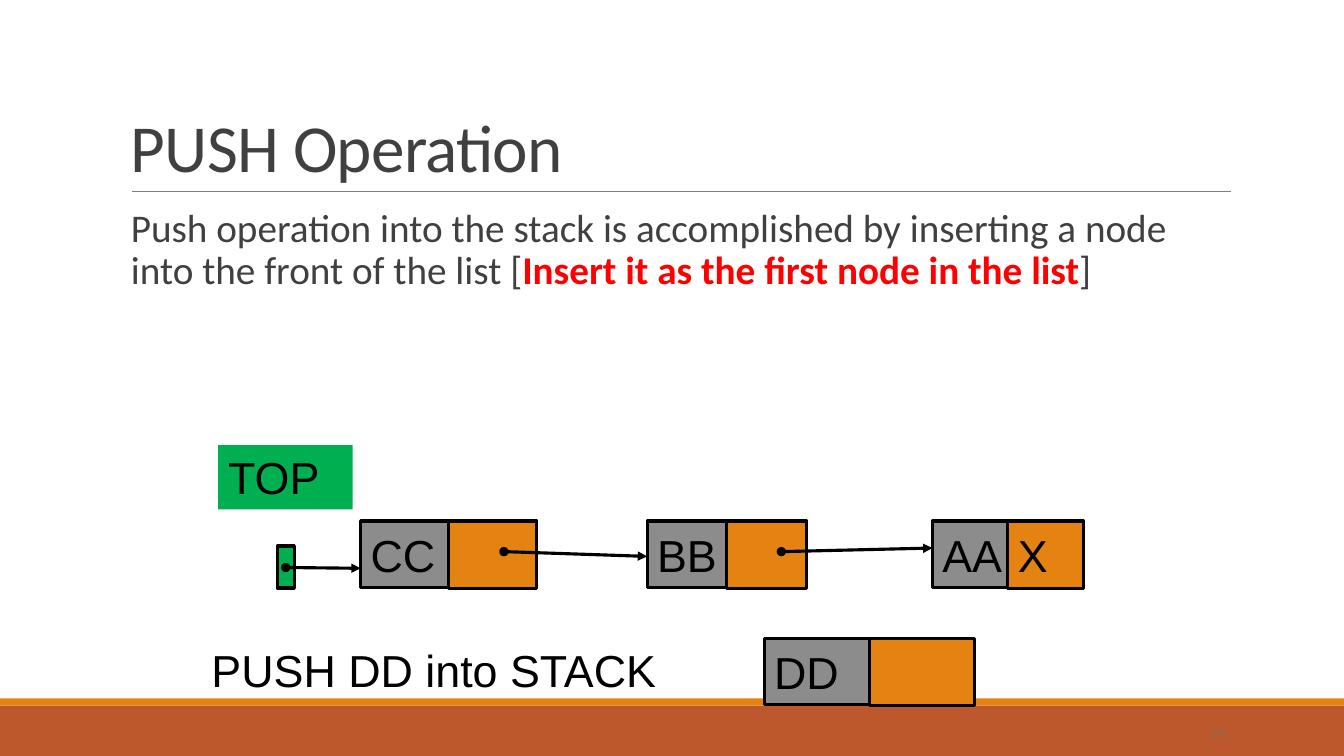
from dataclasses import dataclass

from lxml.etree import SubElement
from pptx import Presentation
from pptx.dml.color import RGBColor
from pptx.enum.shapes import MSO_CONNECTOR, MSO_SHAPE
from pptx.enum.text import MSO_ANCHOR, PP_ALIGN
from pptx.oxml.ns import qn
from pptx.util import Cm, Pt


@dataclass(frozen=True)
class Theme:
    heading_font: str = "Calibri"
    diagram_font: str = "Arial"
    ink: str = "404040"
    black: str = "000000"
    alert: str = "FF0000"
    rule: str = "808080"
    band: str = "BD582C"
    orange: str = "E48312"
    gray: str = "8C8C8C"
    green: str = "00B050"
    number: str = "8C6A50"
    title_size: float = 48
    body_size: float = 28
    diagram_size: float = 32
    number_size: float = 10.5
    outline: float = 2.25


THEME = Theme()


def color(code):
    return RGBColor.from_string(code)


def style_span(span, font, size, code, bold=False):
    span.font.name = font
    span.font.size = Pt(size)
    span.font.color.rgb = color(code)
    span.font.bold = bold


def add_rectangle(page, left, top, width, height, fill, outlined=False):
    box = page.shapes.add_shape(
        MSO_SHAPE.RECTANGLE, Cm(left), Cm(top), Cm(width), Cm(height))
    box.shadow.inherit = False
    box.fill.solid()
    box.fill.fore_color.rgb = color(fill)
    if outlined:
        box.line.color.rgb = color(THEME.black)
        box.line.width = Pt(THEME.outline)
    else:
        box.line.fill.background()
    return box


def add_text_box(page, left, top, width, height):
    box = page.shapes.add_textbox(Cm(left), Cm(top), Cm(width), Cm(height))
    box.text_frame.word_wrap = True
    return box


def write_label(box, text, anchor=MSO_ANCHOR.MIDDLE, wrap=False):
    frame = box.text_frame
    frame.text = text
    frame.word_wrap = wrap
    frame.vertical_anchor = anchor
    para = frame.paragraphs[0]
    para.alignment = PP_ALIGN.LEFT
    style_span(para.runs[0], THEME.diagram_font, THEME.diagram_size, THEME.black)


def add_line(page, start, end, code, width):
    line = page.shapes.add_connector(
        MSO_CONNECTOR.STRAIGHT, *(Cm(value) for value in start + end))
    line.line.color.rgb = color(code)
    line.line.width = Pt(width)
    SubElement(line._element.spPr, qn("a:effectLst"))
    return line


def add_pointer(page, start, end):
    """Draw a link with a dot at its start and an arrowhead at its end."""
    pointer = add_line(page, start, end, THEME.black, THEME.outline)
    outline = pointer.line._get_or_add_ln()
    SubElement(outline, qn("a:headEnd"), type="oval")
    SubElement(outline, qn("a:tailEnd"), type="triangle")


def add_node(page, data, left, top, cell_width, link=""):
    """Draw a list node: a data cell and a link cell of equal width."""
    link_cell = add_rectangle(
        page, left + cell_width, top, cell_width, 1.7, THEME.orange, True)
    if link:
        write_label(link_cell, link)
    data_cell = add_rectangle(
        page, left, top, cell_width, 1.68, THEME.gray, True)
    write_label(data_cell, data)


def add_frame(page):
    add_rectangle(page, 0, 17.78, 33.87, 1.27, THEME.band)
    add_rectangle(page, 0, 17.6, 33.87, 0.18, THEME.orange)
    add_line(page, (3.33, 4.83), (31.01, 4.83), THEME.rule, 0.5)


def add_title(page, text):
    frame = add_text_box(page, 3.05, 0.79, 27.94, 4.04).text_frame
    frame.vertical_anchor = MSO_ANCHOR.BOTTOM
    frame.text = text
    para = frame.paragraphs[0]
    para.line_spacing = 0.85
    span = para.runs[0]
    style_span(span, THEME.heading_font, THEME.title_size, THEME.ink)
    span.font._element.set("spc", "-50")


def add_body(page, parts):
    """Write one paragraph from (text, is_alert) parts."""
    frame = add_text_box(page, 3.05, 5.13, 27.94, 11.18).text_frame
    frame.margin_right = 0
    para = frame.paragraphs[0]
    para.line_spacing = 0.9
    for text, is_alert in parts:
        span = para.add_run()
        span.text = text
        style_span(span, THEME.heading_font, THEME.body_size,
                   THEME.alert if is_alert else THEME.ink, is_alert)


def add_page_number(page, text):
    frame = add_text_box(page, 27.8, 17.96, 3.33, 1.01).text_frame
    frame.vertical_anchor = MSO_ANCHOR.MIDDLE
    frame.text = text
    para = frame.paragraphs[0]
    para.alignment = PP_ALIGN.RIGHT
    style_span(para.runs[0], THEME.heading_font, THEME.number_size, THEME.number)


def add_linked_stack(page):
    top = 13.13
    add_node(page, "CC", 9.09, top, 2.22)
    add_rectangle(page, 6.99, 13.76, 0.43, 1.06, THEME.green, True)
    add_node(page, "AA", 23.5, top, 1.9, "X")
    add_node(page, "BB", 16.31, top, 2.01)
    add_pointer(page, (7.2, 14.3), (9.09, 14.32))
    add_pointer(page, (12.7, 13.9), (16.31, 14.02))
    add_pointer(page, (19.69, 13.9), (23.5, 13.81))
    top_label = add_rectangle(page, 5.5, 11.22, 3.39, 1.62, THEME.green)
    write_label(top_label, "TOP", MSO_ANCHOR.TOP, True)


def add_push_request(page):
    add_node(page, "DD", 19.26, 16.08, 2.65)
    request = add_text_box(page, 5.08, 16.08, 13.34, 1.62)
    write_label(request, "PUSH DD into STACK", MSO_ANCHOR.TOP, True)


def main():
    deck = Presentation()
    deck.slide_width, deck.slide_height = Cm(33.87), Cm(19.05)
    page = deck.slides.add_slide(deck.slide_layouts[6])
    add_frame(page)
    add_title(page, "PUSH Operation")
    add_body(page, [
        ("Push operation into the stack is accomplished by inserting "
         "a node into the front of the list [", False),
        ("Insert it as the first node in the list", True),
        ("]", False),
    ])
    add_linked_stack(page)
    add_push_request(page)
    add_page_number(page, "24")
    deck.save("out.pptx")


if __name__ == "__main__":
    main()
